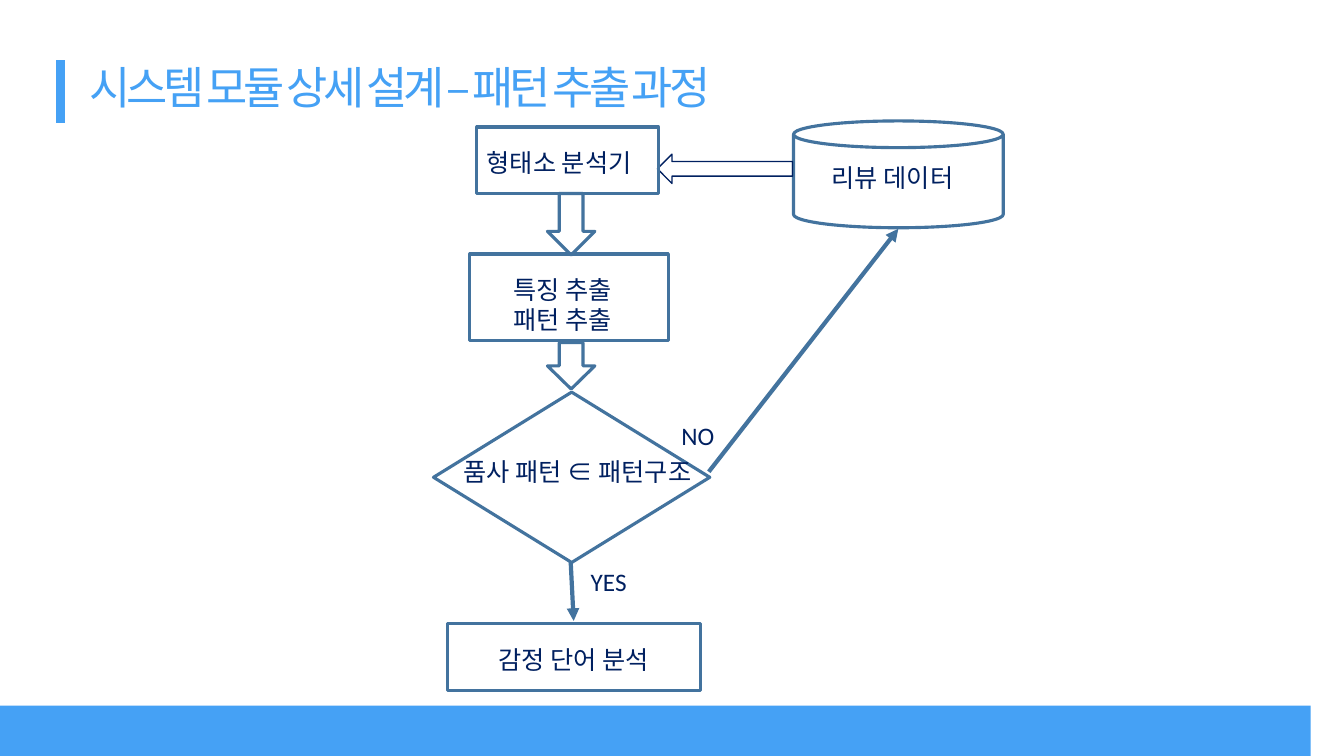
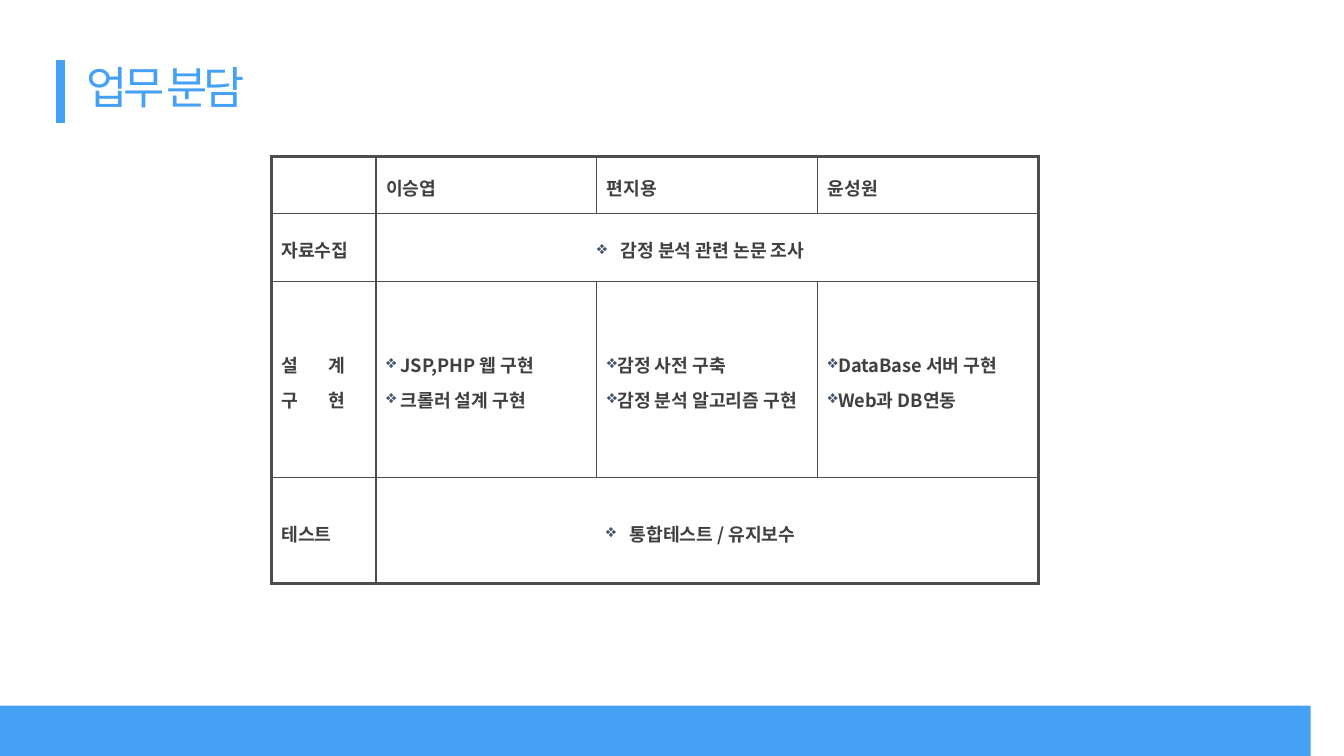
import pptx
import pptx.util
import pptx.dml.color
import pptx.enum.shapes
import pptx.enum.text
import pptx.oxml
import pptx.oxml.ns
import lxml.etree

Inches = pptx.util.Inches
Pt = pptx.util.Pt
Kind = pptx.enum.shapes.MSO_SHAPE
Align = pptx.enum.text.PP_ALIGN
Middle = pptx.enum.text.MSO_ANCHOR.MIDDLE
qn = pptx.oxml.ns.qn
sub = lxml.etree.SubElement

SKY, STEEL, NAVY = "45A1F5", "43739E", "002060"
EDGE, GREY, SLATE, WHITE = "4D4D4D", "404040", "44546A", "FFFFFF"
NOTO, LATIN = "Noto Sans CJK KR", "Calibri"


def tint(code):
    return pptx.dml.color.RGBColor.from_string(code)


def write(para, text, size, color, face=NOTO):
    run = para.add_run()
    run.text = text
    run.font.size = Pt(size)
    run.font.color.rgb = tint(color)
    run.font.name = face
    sub(run.font._element, qn("a:ea"), typeface=NOTO)
    return run


deck = pptx.Presentation()
deck.slide_width = Inches(13.33)
deck.slide_height = Inches(7.5)

pages = []
lines = []
for title, left in [("시스템 모듈 상세 설계 – 패턴 추출 과정", 0.79), ("업무 분담", 0.76)]:
    page = deck.slides.add_slide(deck.slide_layouts[6])
    pages.append(page)
    pen = page.shapes.build_freeform(0, 6.86, scale=Inches(1))
    pen.add_line_segments([(0.46, 6.86), (0.8, 7.18), (1.13, 6.86),
                           (13.33, 6.86), (13.33, 7.5), (0, 7.5)], close=True)
    band = pen.convert_to_shape()
    band.shadow.inherit = False
    band.fill.solid()
    band.fill.fore_color.rgb = tint(SKY)
    band.line.fill.background()
    frame = page.shapes.add_textbox(Inches(left), Inches(0.48), Inches(7.73), Inches(0.86)).text_frame
    frame.word_wrap = True
    frame.vertical_anchor = Middle
    frame.margin_top = frame.margin_bottom = 0
    frame.paragraphs[0].line_spacing = 0.8
    run = write(frame.paragraphs[0], title, 32, SKY)
    run.font._element.set("spc", "-300")
    lines.append((page, 0.6, 0.6, 0.6, 1.22, SKY, 6, False))

flow, table_page = pages

steps = [
    (Kind.DOWN_ARROW, 5.43, 1.92, 0.47, 0.61, WHITE, STEEL, 2.25),
    (Kind.DOWN_ARROW, 5.43, 3.4, 0.47, 0.46, WHITE, STEEL, 2.25),
    (Kind.CAN, 7.87, 1.2, 2.08, 1.06, None, STEEL, 2.25),
    (Kind.RECTANGLE, 4.66, 2.52, 1.97, 0.86, None, STEEL, 2.25),
    (Kind.LEFT_ARROW, 6.52, 1.53, 1.34, 0.29, None, NAVY, 1),
    (Kind.RECTANGLE, 4.73, 1.26, 1.8, 0.66, None, STEEL, 2.25),
    (Kind.DIAMOND, 4.3, 3.89, 2.74, 1.69, None, STEEL, 2.25),
    (Kind.RECTANGLE, 4.44, 6.19, 2.51, 0.66, None, STEEL, 2.25),
]
for kind, left, top, width, height, fill, color, weight in steps:
    shape = flow.shapes.add_shape(kind, Inches(left), Inches(top), Inches(width), Inches(height))
    shape.shadow.inherit = False
    if fill:
        shape.fill.solid()
        shape.fill.fore_color.rgb = tint(fill)
    else:
        shape.fill.background()
    shape.line.color.rgb = tint(color)
    shape.line.width = Pt(weight)

labels = [
    (["리뷰 데이터"], 8.15, 1.56, 1.52, 0.5, LATIN, Align.LEFT),
    (["특징 추출", "패턴 추출"], 4.99, 2.67, 1.56, 0.71, LATIN, Align.LEFT),
    (["NO"], 6.66, 4.12, 0.58, 0.4, LATIN, Align.LEFT),
    (["YES"], 5.76, 5.57, 0.58, 0.4, LATIN, Align.LEFT),
    (["형태소 분석기"], 4.73, 1.41, 2.13, 0.4, NOTO, Align.LEFT),
    (["품사 패턴 ∈ 패턴구조"], 4.5, 4.48, 2.7, 0.4, LATIN, Align.LEFT),
    (["감정 단어 분석"], 4.29, 6.34, 2.8, 0.4, NOTO, Align.CENTER),
]
for texts, left, top, width, height, face, align in labels:
    frame = flow.shapes.add_textbox(Inches(left), Inches(top), Inches(width), Inches(height)).text_frame
    frame.word_wrap = True
    for i, text in enumerate(texts):
        para = frame.add_paragraph() if i else frame.paragraphs[0]
        para.alignment = align
        write(para, text, 18, NAVY, face)

lines += [
    (flow, 7.03, 4.68, 8.91, 2.27, STEEL, 3, True),
    (flow, 5.66, 5.57, 5.69, 6.16, STEEL, 3, True),
]
for page, x1, y1, x2, y2, color, weight, arrow in lines:
    line = page.shapes.add_connector(pptx.enum.shapes.MSO_CONNECTOR.STRAIGHT,
                                     Inches(x1), Inches(y1), Inches(x2), Inches(y2))
    line.line.color.rgb = tint(color)
    line.line.width = Pt(weight)
    if arrow:
        sub(line.line._get_or_add_ln(), qn("a:tailEnd"), type="triangle")
    sub(line._element.spPr, qn("a:effectLst"))

widths = [1.04, 2.19, 2.19, 2.19]
heights = [0.57, 0.67, 1.95, 1.05]
rows = [
    [[], ["이승엽"], ["편지용"], ["윤성원"]],
    [["자료수집"], ["감정 분석 관련 논문 조사"]],
    [["설\t계", "구\t현"], [" JSP,PHP 웹 구현", " 크롤러 설계 구현"],
     ["감정 사전 구축", "감정 분석 알고리즘 구현"], ["DataBase 서버 구현", "Web과 DB연동"]],
    [["테스트"], ["통합테스트 / 유지보수"]],
]
grid = table_page.shapes.add_table(4, 4, Inches(2.69), Inches(1.55),
                                   Inches(sum(widths)), Inches(sum(heights))).table
grid.first_row = grid.horz_banding = False
for col, width in zip(grid.columns, widths):
    col.width = Inches(width)
for row, height in zip(grid.rows, heights):
    row.height = Inches(height)

for r, row in enumerate(rows):
    wide = len(row) == 2
    if wide:
        grid.cell(r, 1).merge(grid.cell(r, 3))
    for c in range(4):
        cell = grid.cell(r, c)
        cell.fill.background()
        cell.vertical_anchor = Middle
        last = c == 3 or (wide and c == 1)
        sides = [("L", c == 0), ("R", last), ("T", r == 0), ("B", r == 3)]
        for i, (side, thick) in enumerate(sides):
            edge = lxml.etree.Element(qn("a:ln" + side), w=str(Pt(2.25 if thick else 1)))
            sub(sub(edge, qn("a:solidFill")), qn("a:srgbClr"), val=EDGE)
            cell._tc.get_or_add_tcPr().insert(i, edge)
        for i, text in enumerate(row[c] if c < len(row) else []):
            frame = cell.text_frame
            para = frame.add_paragraph() if i else frame.paragraphs[0]
            para.line_spacing = 1.2
            para.space_before = Pt(2.6)
            para.alignment = Align.CENTER if wide and c else Align.LEFT
            write(para, text, 13, GREY).font.bold = True
            props = para._p.get_or_add_pPr()
            if r and c:
                sub(sub(props, qn("a:buClr")), qn("a:srgbClr"), val=SLATE)
                sub(props, qn("a:buChar"), char="❖")
            if "\t" in text:
                sub(sub(props, qn("a:tabLst")), qn("a:tab"), pos=str(Inches(0.47)), algn="l")

deck.save("out.pptx")
